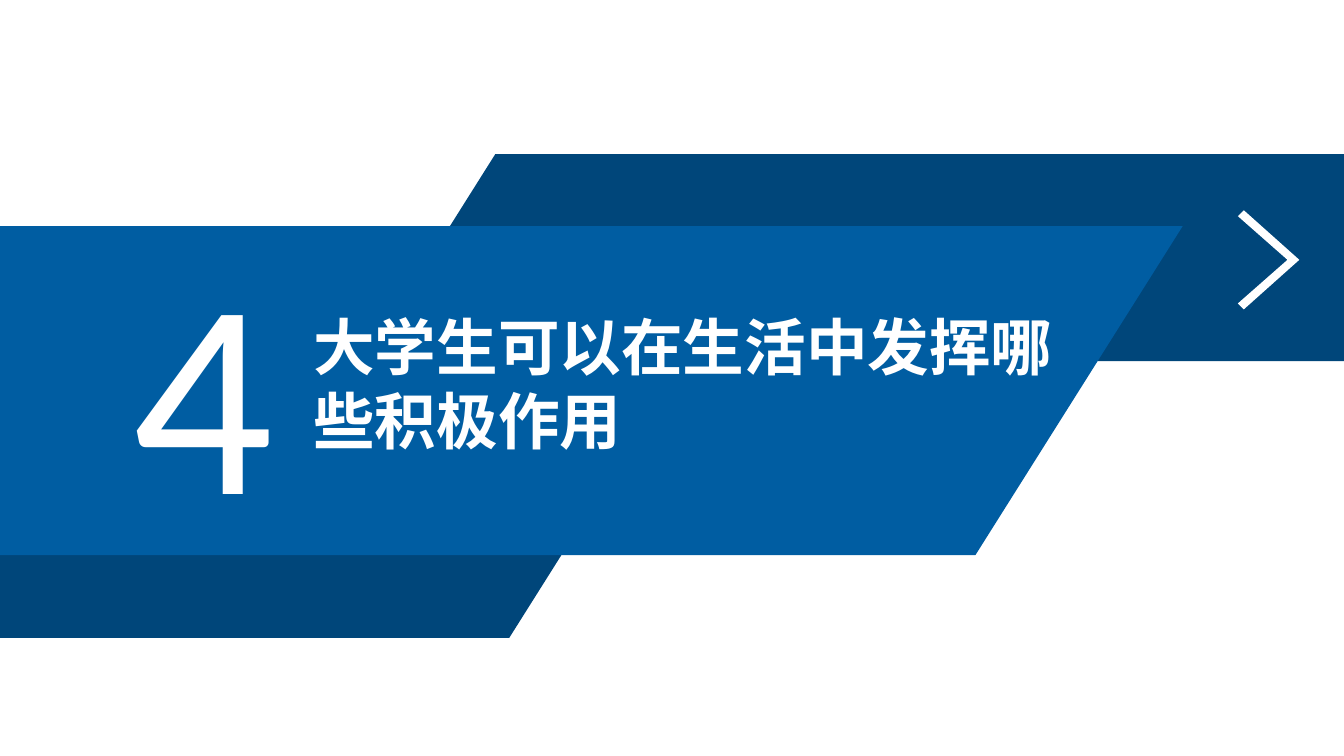
from lxml.etree import SubElement
from pptx import Presentation
from pptx.dml.color import RGBColor
from pptx.enum.text import MSO_AUTO_SIZE, PP_ALIGN
from pptx.oxml.ns import qn
from pptx.util import Pt

NAVY = RGBColor(0x00, 0x46, 0x7A)
BLUE = RGBColor(0x00, 0x5D, 0xA2)
WHITE = RGBColor(0xFF, 0xFF, 0xFF)
PAGE_WIDTH, PAGE_HEIGHT = 960, 540
SLANT = 0.63  # sideways run of a slanted edge per point of height


def add_outline(page, points, color):
    builder = page.shapes.build_freeform(Pt(points[0][0]), Pt(points[0][1]))
    builder.add_line_segments([(Pt(x), Pt(y)) for x, y in points[1:]])
    shape = builder.convert_to_shape()
    shape.shadow.inherit = False
    shape.fill.solid()
    shape.fill.fore_color.rgb = color
    shape.line.fill.background()


def add_band(page, left, top, width, height, color, slant_left=False):
    """Draw a band with one slanted end, the other end being upright."""
    right, bottom, run = left + width, top + height, SLANT * height
    top_left = left + run if slant_left else left
    bottom_right = right if slant_left else right - run
    add_outline(page, [(top_left, top), (right, top),
                       (bottom_right, bottom), (left, bottom)], color)


def add_chevron(page, left, top, width, height, color):
    right, middle, bottom = left + width, top + height / 2, top + height
    thick = width - height / 2 + 0.0
    edge = thick / 2
    add_outline(page, [(left + edge, top), (right, middle),
                       (left + edge, bottom), (left, bottom - edge),
                       (right - thick, middle), (left, top + edge)], color)


def add_label(page, left, top, width, height, words, size, font,
              bold=False, wrap=True, align=PP_ALIGN.LEFT):
    box = page.shapes.add_textbox(Pt(left), Pt(top), Pt(width), Pt(height))
    box.text_frame.word_wrap = wrap
    box.text_frame.auto_size = MSO_AUTO_SIZE.SHAPE_TO_FIT_TEXT
    para = box.text_frame.paragraphs[0]
    para.alignment = align
    span = para.add_run()
    span.text = words
    span.font.size = Pt(size)
    span.font.name = font
    span.font.bold = bold
    span.font.color.rgb = WHITE
    SubElement(span.font._element, qn("a:ea"), typeface=font)


def add_section_slide(deck, number, title):
    page = deck.slides.add_slide(deck.slide_layouts[6])
    add_band(page, 260.6, 110, PAGE_WIDTH - 260.6, 148, NAVY, slant_left=True)
    add_band(page, 0, 321, 448.6, 134.7, NAVY)
    add_band(page, 0, 161.5, 844.8, 235, BLUE)
    add_label(page, 87, 150.5, 116.6, 248.4, number, 199, "Calibri",
              wrap=False, align=PP_ALIGN.CENTER)
    add_label(page, 216.7, 217.4, 577.4, 113.8, title, 44,
              "Noto Sans CJK SC", bold=True)
    add_chevron(page, 884.2, 150.2, 43.9, 70.8, WHITE)


def main():
    deck = Presentation()
    deck.slide_width, deck.slide_height = Pt(PAGE_WIDTH), Pt(PAGE_HEIGHT)
    add_section_slide(deck, "4", "大学生可以在生活中发挥哪些积极作用")
    deck.save("out.pptx")


if __name__ == "__main__":
    main()
